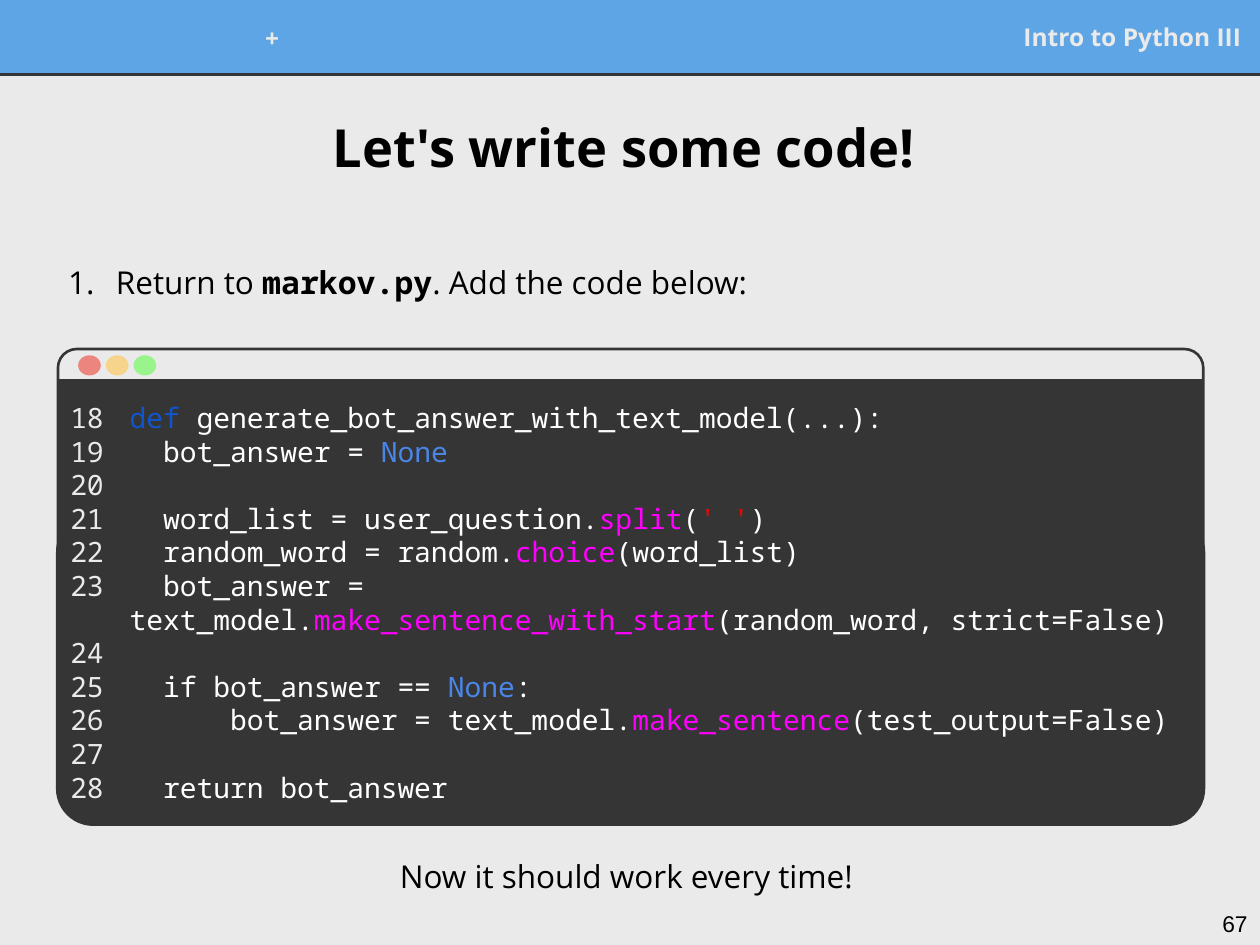
from lxml import etree
from pptx import Presentation
from pptx import util as u
from pptx.dml.color import RGBColor
from pptx.enum import shapes, text
from pptx.oxml.ns import qn

Inches, Pt = u.Inches, u.Pt
SANS, MONO = "Open Sans", "Noto Sans Mono"
LEFT, CENTER, RIGHT = text.PP_ALIGN.LEFT, text.PP_ALIGN.CENTER, text.PP_ALIGN.RIGHT
TOP, MIDDLE = text.MSO_ANCHOR.TOP, text.MSO_ANCHOR.MIDDLE
COLORS = {
    "paper": "EAEAEA", "banner": "5EA5E5", "dark": "353535", "black": "000000",
    "close": "ED857F", "minimize": "F7D48B", "zoom": "99F48C",
    "plain": "FFFFFF", "keyword": "1155CC", "constant": "4A86E8",
    "method": "FF00FF", "string": "FF0000",
}
rgb = {name: RGBColor.from_string(value) for name, value in COLORS.items()}


def write(box, place, paragraphs, size, align=LEFT, anchor=MIDDLE):
    box.left, box.top, box.width, box.height = [Inches(v) for v in place]
    frame = box.text_frame
    frame.word_wrap = True
    frame.auto_size = text.MSO_AUTO_SIZE.NONE
    frame.vertical_anchor = anchor
    frame.margin_left = frame.margin_right = Inches(0.1)
    frame.margin_top = frame.margin_bottom = Inches(0.1)
    frame.text = "\n".join("".join(r[0] for r in runs) for runs in paragraphs)
    for paragraph, runs in zip(frame.paragraphs, paragraphs):
        paragraph.text = ""
        paragraph.alignment = align
        paragraph.space_before = Pt(0)
        for words, font, color, bold in runs:
            run = paragraph.add_run()
            run.text = words
            run.font.name = font
            run.font.size = Pt(size)
            run.font.bold = bold
            run.font.color.rgb = rgb[color]
    return frame


def panel(parent, kind, place, fill=None, line=None, width=0.75, corner=None):
    shape = parent.add_shape(kind, *[Inches(v) for v in place])
    shape.shadow.inherit = False
    if corner:
        shape.adjustments[0] = corner
    if fill:
        shape.fill.solid()
        shape.fill.fore_color.rgb = rgb[fill]
    else:
        shape.fill.background()
    if line:
        shape.line.color.rgb = rgb[line]
        shape.line.width = Pt(width)
    else:
        shape.line.fill.background()


prs = Presentation()
prs.slide_width, prs.slide_height = Inches(10), Inches(7.5)
slide = prs.slides.add_slide(prs.slide_layouts[1])
slide.background.fill.solid()
slide.background.fill.fore_color.rgb = rgb["paper"]
kinds = shapes.MSO_SHAPE

panel(slide.shapes, kinds.RECTANGLE, (0, 0, 10, 0.59), "banner", "banner")
rule = slide.shapes.add_connector(
    shapes.MSO_CONNECTOR.STRAIGHT, 0, Inches(0.59), Inches(10), Inches(0.59))
rule.line.color.rgb = rgb["dark"]
rule.line.width = Pt(1.5)
etree.SubElement(rule._element.spPr, qn("a:effectLst"))

labels = [
    ((6.24, 0.1, 3.71, 0.38), ("Intro to Python III", SANS, "paper", True), 14, RIGHT, MIDDLE),
    ((1.86, 0.11, 0.6, 0.38), ("+", SANS, "paper", True), 14, CENTER, MIDDLE),
    ((9.4, 7.12, 0.6, 0.38), ("67", "Arial", "black", False), 13, RIGHT, TOP),
    ((0.32, 6.7, 9.37, 0.51), ("Now it should work every time! ", SANS, "black", False),
     18, CENTER, MIDDLE),
]
for place, run, size, align, anchor in labels:
    write(slide.shapes.add_textbox(0, 0, 0, 0), place, [[run]], size, align, anchor)

write(slide.shapes.title, (0.18, 0.71, 9.65, 0.9),
      [[("Let's write some code! ", SANS, "black", True)]], 30, CENTER)

step = write(slide.placeholders[1], (0.32, 1.71, 9.37, 1.06), [[
    ("Return to ", SANS, "black", False),
    ("markov.py", MONO, "black", True),
    (". Add the code below:", SANS, "black", False),
]], 18).paragraphs[0]
props = step._p.get_or_add_pPr()
props.set("marL", str(Inches(0.5)))
props.set("indent", str(Inches(-0.38)))
bullet_color = etree.SubElement(props, qn("a:buClr"))
etree.SubElement(bullet_color, qn("a:srgbClr"), val=COLORS["black"])
etree.SubElement(props, qn("a:buFont"), typeface=SANS)
etree.SubElement(props, qn("a:buAutoNum"), type="arabicPeriod")

editor = slide.shapes.add_group_shape().shapes
panel(editor, kinds.ROUNDED_RECTANGLE, (0.46, 2.77, 9.09, 2.72), None, "dark", 1.5, 0.055)
panel(editor, kinds.RECTANGLE, (0.46, 3.01, 9.09, 3.25), "dark")
panel(editor, kinds.ROUNDED_RECTANGLE, (0.46, 4.1, 9.09, 2.44), "dark", "dark", 2.25, 0.115)
for i, button in enumerate(("close", "minimize", "zoom")):
    panel(editor, kinds.OVAL, (0.62 + 0.22 * i, 2.82, 0.18, 0.16), button)

code = [
    [("def ", "keyword"), ("generate_bot_answer_with_text_model(...):", "plain")],
    [("  bot_answer = ", "plain"), ("None", "constant")],
    [("  word_list = user_question.", "plain"), ("split", "method"), ("(", "plain"),
     ("' '", "string"), (")", "plain")],
    [("  random_word = random.", "plain"), ("choice", "method"), ("(word_list)", "plain")],
    [("  bot_answer = text_model.", "plain"), ("make_sentence_with_start", "method"),
     ("(random_word, strict=False)", "plain")],
    [("  if bot_answer == ", "plain"), ("None", "constant"), (":", "plain")],
    [("      bot_answer = text_model.", "plain"), ("make_sentence", "method"),
     ("(test_output=False)", "plain")],
    [("  return bot_answer", "plain")],
]
listing = write(editor.add_textbox(0, 0, 0, 0), (0.93, 3.08, 8.45, 3.38),
                [[(words, MONO, color, False) for words, color in line] for line in code],
                16, anchor=TOP)
listing.margin_right = Inches(0.05)
numbers = write(editor.add_textbox(0, 0, 0, 0), (0.46, 3.08, 0.56, 3.54),
                [[(str(n), MONO, "paper", False)] for n in range(18, 29)], 16, anchor=TOP)

code_line = Pt(19.2)
for frame, after_gap in ((listing, (2, 5, 7)), (numbers, (6,))):
    for i in after_gap:
        frame.paragraphs[i].space_before = code_line

prs.save("out.pptx")
